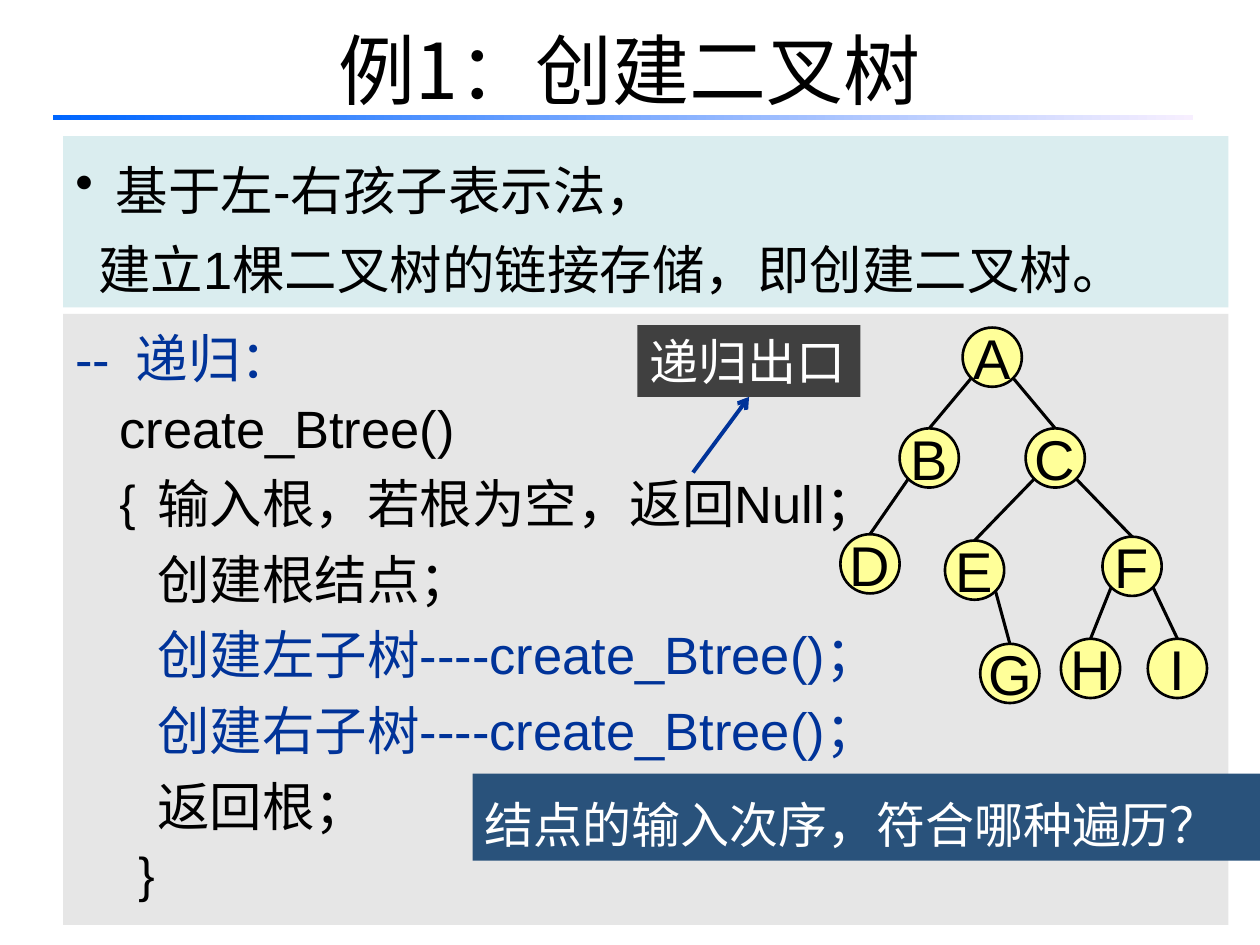
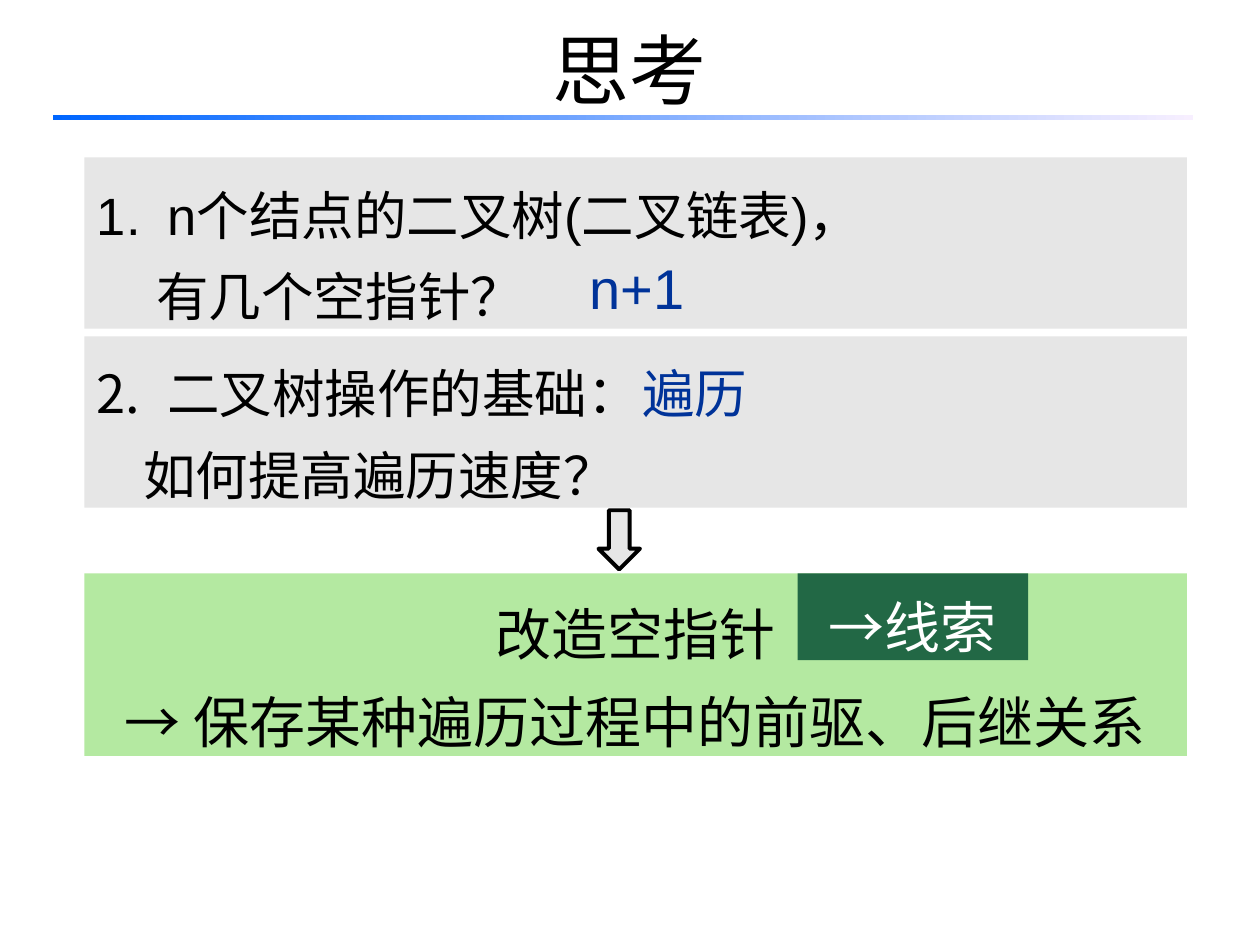
from pptx import Presentation
from pptx.dml.color import RGBColor
from pptx.enum.shapes import MSO_CONNECTOR, MSO_SHAPE
from pptx.enum.text import MSO_ANCHOR, PP_ALIGN
from pptx.oxml.ns import qn
from pptx.util import Inches, Pt
from lxml import etree

RECTANGLE, ELLIPSE, DOWN_ARROW = MSO_SHAPE.RECTANGLE, MSO_SHAPE.OVAL, MSO_SHAPE.DOWN_ARROW
STRAIGHT = MSO_CONNECTOR.STRAIGHT
TOP, MIDDLE = MSO_ANCHOR.TOP, MSO_ANCHOR.MIDDLE
LEFT, CENTER = PP_ALIGN.LEFT, PP_ALIGN.CENTER

BLACK = RGBColor(0x00, 0x00, 0x00)
WHITE = RGBColor(0xFF, 0xFF, 0xFF)
BLUE = RGBColor(0x00, 0x33, 0x99)
GREY = RGBColor(0xE6, 0xE6, 0xE6)
CHARCOAL = RGBColor(0x40, 0x40, 0x40)
PALE_CYAN = RGBColor(0xDA, 0xED, 0xEF)
NAVY = RGBColor(0x29, 0x52, 0x7B)
YELLOW = RGBColor(0xFF, 0xFF, 0x99)
PALE_GREEN = RGBColor(0xB4, 0xE9, 0xA1)
DARK_GREEN = RGBColor(0x22, 0x68, 0x45)
RULE_START = RGBColor(0x00, 0x66, 0xFF)
RULE_END = RGBColor(0xF7, 0xEF, 0xFF)

BODY_FONT, TITLE_FONT = "Arial", "Noto Sans CJK SC"

TREE_TITLE = "例1：创建二叉树"
INTRO = [
    dict(text="基于左-右孩子表示法，", spacing=1.25, indent=0.32, bullet="•"),
    dict(text="建立1棵二叉树的链接存储，即创建二叉树。", spacing=1.25, indent=0.18),
]
ALGORITHM = [
    dict(text="--\t递归：", spacing=1.1, indent=0.48, hanging=True, color=BLUE),
    dict(text="create_Btree()", spacing=1.1, indent=0.35),
    dict(text="输入根，若根为空，返回Null；", spacing=1.2, indent=0.65),
    dict(text="创建根结点；", spacing=1.2, indent=0.65),
    dict(text="创建左子树----create_Btree()；", spacing=1.2, indent=0.65, color=BLUE),
    dict(text="创建右子树----create_Btree()；", spacing=1.2, indent=0.65, color=BLUE),
    dict(text="返回根；", spacing=1.2, indent=0.65),
]
BRACES = [("{", 0.85, 3.58), ("}", 1, 6.53)]
NODE_SIZE = 0.47
NODES = {
    "A": (7.64, 2.6), "B": (7.14, 3.4), "C": (8.14, 3.4),
    "D": (6.67, 4.24), "E": (7.5, 4.29), "F": (8.75, 4.26),
    "G": (7.78, 5.11), "H": (8.42, 5.07), "I": (9.11, 5.07),
}
EDGES = ["AB", "AC", "BD", "CE", "CF", "EG", "FH", "FI"]

THINK_TITLE = "思考"
QUESTIONS = [
    [dict(text="n个结点的二叉树(二叉链表)，", spacing=1.3, indent=0.56, number=1),
     dict(text="有几个空指针？", spacing=1.3, indent=0.47)],
    [dict(text="二叉树操作的基础：", spacing=1.3, indent=0.56, number=2),
     dict(text="如何提高遍历速度？", spacing=1.3, indent=0.37)],
]
QUESTION_TOP, QUESTION_PITCH = 1.25, 1.42
ANSWERS = [("n+1", 32, (4.58, 1.83, 0.96, 0.71)), ("遍历", 30, (5, 2.69, 1.04, 0.67))]
CONCLUSION = [
    dict(text="改造空指针", spacing=1.3),
    dict(text="→ 保存某种遍历过程中的前驱、后继关系", spacing=1.3),
]


def add_marker(paragraph, line):
    properties = paragraph._p.get_or_add_pPr()
    indent = Inches(line.get("indent", 0))
    properties.set("marL", str(indent))
    if "bullet" in line:
        etree.SubElement(properties, qn("a:buChar"), char=line["bullet"])
    elif "number" in line:
        etree.SubElement(properties, qn("a:buAutoNum"), type="arabicPeriod",
                         startAt=str(line["number"]))
    elif not line.get("hanging"):
        return
    properties.set("indent", str(-indent))


def write(shape, lines, size, color=BLACK, align=LEFT, anchor=TOP, wrap=True):
    frame = shape.text_frame
    frame.word_wrap = wrap
    frame.vertical_anchor = anchor
    for index, line in enumerate(lines):
        paragraph = frame.add_paragraph() if index else frame.paragraphs[0]
        paragraph.text = line["text"]
        add_marker(paragraph, line)
        paragraph.alignment = align
        paragraph.line_spacing = line.get("spacing", 1.0)
        paragraph.font.name = BODY_FONT
        paragraph.font.size = Pt(size)
        paragraph.font.color.rgb = line.get("color", color)


def add_block(slide, box, fill, kind=RECTANGLE, line_width=None):
    shape = slide.shapes.add_shape(kind, *map(Inches, box))
    shape.shadow.inherit = False
    shape.fill.solid()
    shape.fill.fore_color.rgb = fill
    if line_width:
        shape.line.color.rgb = BLACK
        shape.line.width = Pt(line_width)
    else:
        shape.line.fill.background()
    return shape


def add_note(slide, text, size, box, color=BLACK):
    note = slide.shapes.add_textbox(*map(Inches, box))
    write(note, [dict(text=text, spacing=1.25)], size, color, wrap=False)


def add_line(slide, start, target, site, color, width):
    connector = slide.shapes.add_connector(STRAIGHT, *map(Inches, start), 0, 0)
    connector.end_connect(target, site)
    connector.line.color.rgb = color
    connector.line.width = Pt(width)
    etree.SubElement(connector._element.spPr, qn("a:effectLst"))
    return connector


def add_titled_slide(presentation, text):
    slide = presentation.slides.add_slide(presentation.slide_layouts[5])
    title = slide.shapes.title
    title.left, title.top, title.width, title.height = map(Inches, (0.5, -0.08, 9, 1.25))
    title.text_frame.vertical_anchor = MIDDLE
    paragraph = title.text_frame.paragraphs[0]
    paragraph.text = text
    paragraph.alignment = CENTER
    paragraph.font.name = TITLE_FONT
    paragraph.font.size = Pt(44)
    paragraph.font.color.rgb = BLACK
    rule = add_block(slide, (0.42, 0.91, 9.05, 0.04), RULE_START)
    rule.fill.gradient()
    rule.fill.gradient_angle = 0
    for stop, color in zip(rule.fill.gradient_stops, (RULE_START, RULE_END)):
        stop.color.rgb = color
    return slide


def add_tree(slide):
    nodes = {}
    for name, (left, top) in NODES.items():
        nodes[name] = add_block(slide, (left, top, NODE_SIZE, NODE_SIZE), YELLOW, ELLIPSE, 1.5)
        write(nodes[name], [dict(text=name)], 32, align=CENTER, anchor=MIDDLE, wrap=False)
    radius = NODE_SIZE / 2
    diagonal = radius * 0.5 ** 0.5
    for parent, child in EDGES:
        left, top = NODES[parent]
        side = 1 if NODES[child][0] > left else -1
        start = (left + radius + side * diagonal, top + radius + diagonal)
        add_line(slide, start, nodes[child], 0, BLACK, 1.75)


def build_tree_slide(presentation):
    slide = add_titled_slide(presentation, TREE_TITLE)
    write(add_block(slide, (0.5, 2.49, 9.25, 4.85), GREY), ALGORITHM, 30)
    write(add_block(slide, (0.5, 1.08, 9.25, 1.36), PALE_CYAN), INTRO, 30)
    add_tree(slide)
    exit_label = add_block(slide, (5.06, 2.58, 1.77, 0.57), CHARCOAL)
    write(exit_label, [dict(text="递归出口")], 28, WHITE, wrap=False)
    arrow = add_line(slide, (5.5, 3.75), exit_label, 2, BLUE, 2.25)
    etree.SubElement(arrow.line._get_or_add_ln(), qn("a:tailEnd"), type="arrow")
    for brace, left, top in BRACES:
        add_note(slide, brace, 28, (left, top, 0.44, 0.63))
    question = add_block(slide, (3.75, 6.14, 6.25, 0.69), NAVY)
    write(question, [dict(text="结点的输入次序，符合哪种遍历？", spacing=1.25)], 28, WHITE)


def build_think_slide(presentation):
    slide = add_titled_slide(presentation, THINK_TITLE)
    for index, lines in enumerate(QUESTIONS):
        top = QUESTION_TOP + index * QUESTION_PITCH
        write(add_block(slide, (0.67, top, 8.75, 1.36), GREY), lines, 30)
    write(add_block(slide, (0.67, 4.55, 8.75, 1.45), PALE_GREEN), CONCLUSION, 32, align=CENTER)
    add_block(slide, (4.75, 4.05, 0.33, 0.47), GREY, DOWN_ARROW, 2.25)
    thread = add_block(slide, (6.33, 4.55, 1.83, 0.69), DARK_GREEN)
    write(thread, [dict(text="→线索", spacing=1.2)], 32, WHITE, CENTER)
    for text, size, box in ANSWERS:
        add_note(slide, text, size, box, BLUE)


def main():
    presentation = Presentation()
    presentation.slide_width, presentation.slide_height = Inches(10), Inches(7.5)
    build_tree_slide(presentation)
    build_think_slide(presentation)
    presentation.save("out.pptx")


if __name__ == "__main__":
    main()
